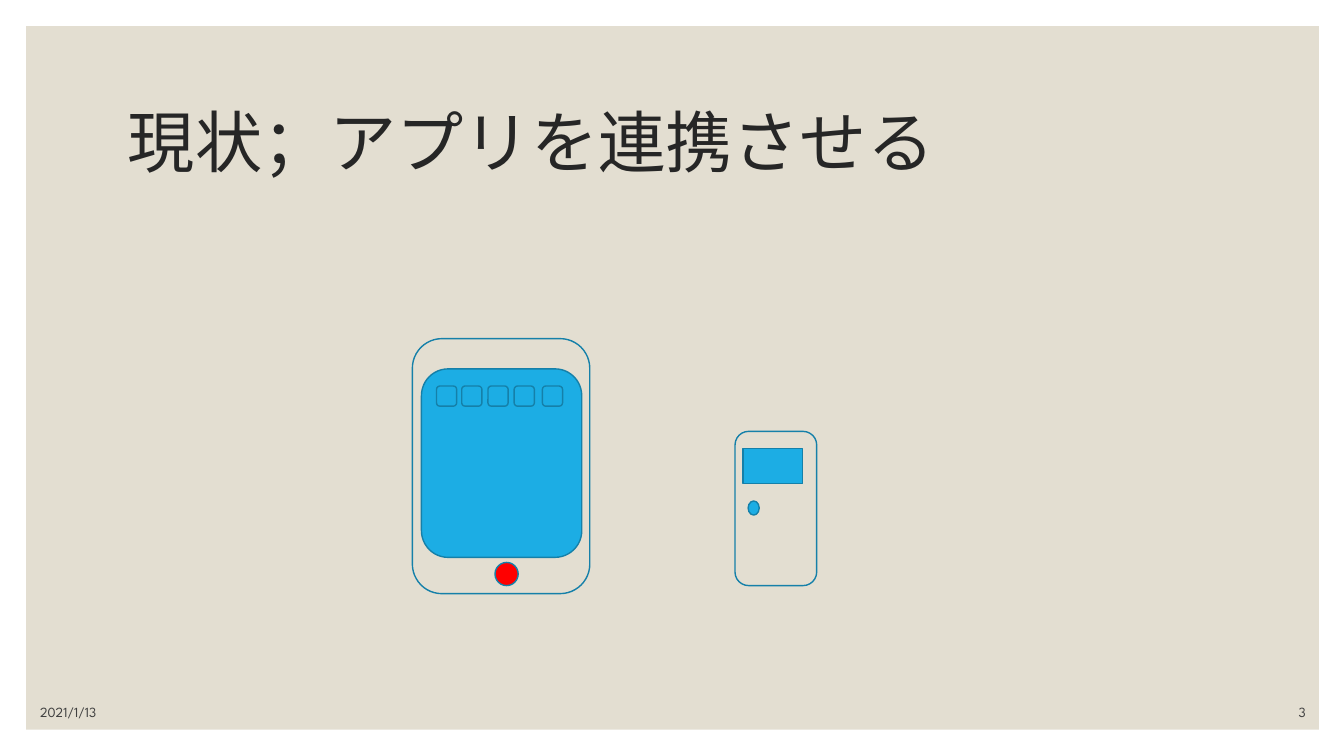
from dataclasses import dataclass

from pptx import Presentation
from pptx.dml.color import RGBColor
from pptx.enum.shapes import MSO_SHAPE
from pptx.enum.text import MSO_ANCHOR, PP_ALIGN
from pptx.slide import Slide
from pptx.util import Emu, Pt

RECTANGLE = MSO_SHAPE.RECTANGLE
ROUNDED = MSO_SHAPE.ROUNDED_RECTANGLE
ELLIPSE = MSO_SHAPE.OVAL
LEFT, RIGHT = PP_ALIGN.LEFT, PP_ALIGN.RIGHT
MIDDLE, BOTTOM = MSO_ANCHOR.MIDDLE, MSO_ANCHOR.BOTTOM

EMU_PER_PX = 9144
FONT = "League Spartan"
BEIGE = "E3DED1"
BLUE = "1CADE4"
OUTLINE = "1580A9"
RED = "FF0000"
TITLE_GREY = "262626"
FOOTER_GREY = "404040"


@dataclass(frozen=True)
class Part:
    """A preset shape with its place in px and its colours."""

    preset: MSO_SHAPE
    left: int
    top: int
    width: int
    height: int
    fill: str | None = BLUE
    line: str | None = OUTLINE


APP_LEFTS = (433, 458, 484, 510, 538)

BACKDROP = Part(RECTANGLE, 26, 26, 1282, 698, fill=BEIGE, line=None)
TABLET = (
    Part(ROUNDED, 418, 366, 159, 187),
    Part(ROUNDED, 409, 336, 176, 253, fill=None),
    Part(ELLIPSE, 491, 558, 23, 23, fill=RED),
    *(Part(ROUNDED, left, 383, 20, 20) for left in APP_LEFTS),
)
HANDSET = (
    Part(ROUNDED, 729, 428, 81, 153, fill=None),
    Part(RECTANGLE, 737, 445, 59, 35),
    Part(ELLIPSE, 742, 497, 11, 14),
)


def px(length: int) -> Emu:
    """Turn px into EMU."""
    return Emu(length * EMU_PER_PX)


def colour(value: str) -> RGBColor:
    """Turn a hex string into a colour."""
    return RGBColor.from_string(value)


def draw_part(page: Slide, part: Part) -> None:
    """Draw one preset shape."""
    shape = page.shapes.add_shape(
        part.preset, px(part.left), px(part.top), px(part.width), px(part.height)
    )
    shape.shadow.inherit = False
    if part.fill:
        shape.fill.solid()
        shape.fill.fore_color.rgb = colour(part.fill)
    else:
        shape.fill.background()
    if part.line:
        shape.line.color.rgb = colour(part.line)
        shape.line.width = Pt(1)
    else:
        shape.line.fill.background()


def write_text(
    page: Slide,
    text: str,
    *,
    left: int,
    top: int,
    width: int,
    height: int,
    size: int = 10,
    ink: str = FOOTER_GREY,
    align: PP_ALIGN = LEFT,
    anchor: MSO_ANCHOR = BOTTOM,
    spacing: float = 1.0,
) -> None:
    """Write one line of text in a box."""
    box = page.shapes.add_textbox(px(left), px(top), px(width), px(height))
    frame = box.text_frame
    frame.word_wrap = True
    frame.vertical_anchor = anchor
    para = frame.paragraphs[0]
    para.alignment = align
    para.line_spacing = spacing
    span = para.add_run()
    span.text = text
    span.font.name = FONT
    span.font.size = Pt(size)
    span.font.color.rgb = colour(ink)


def main() -> None:
    """Build the slide and save it."""
    deck = Presentation()
    deck.slide_width, deck.slide_height = px(1333), px(750)
    page = deck.slides.add_slide(deck.slide_layouts[6])
    draw_part(page, BACKDROP)
    write_text(
        page, "現状；アプリを連携させる", left=117, top=70, width=1100, height=150,
        size=48, ink=TITLE_GREY, anchor=MIDDLE, spacing=0.9,
    )
    write_text(page, "2021/1/13", left=30, top=690, width=300, height=30)
    write_text(page, "3", left=1145, top=690, width=160, height=30, align=RIGHT)
    for part in TABLET + HANDSET:
        draw_part(page, part)
    deck.save("out.pptx")


if __name__ == "__main__":
    main()
